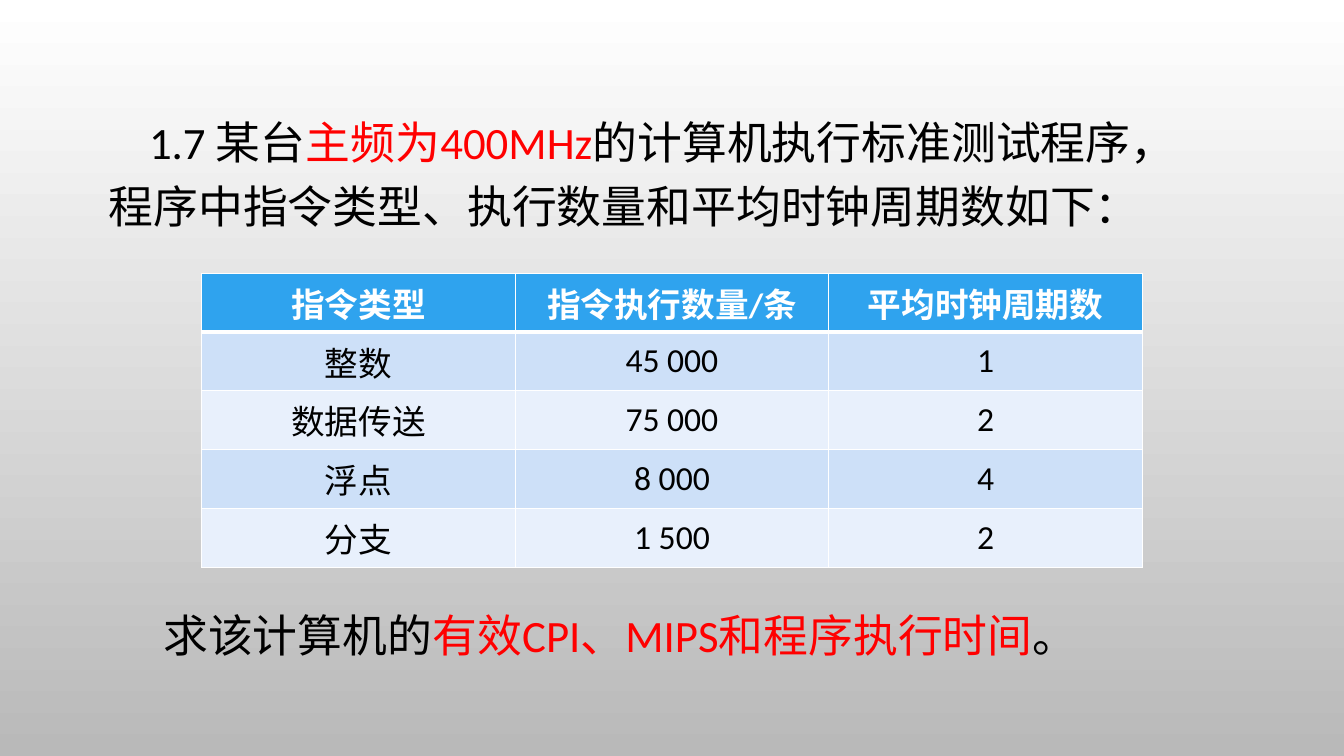
"""Build the exercise 1.7 slide: question text and an instruction table."""
from dataclasses import dataclass

from lxml import etree
from pptx import Presentation
from pptx import util as u
from pptx.dml import color
from pptx.enum import text
from pptx.oxml import ns

COLORS = {
    "black": "000000", "white": "FFFFFF", "red": "FF0000", "gray": "B9B9B9",
    "header": "2FA3EE", "odd": "CDE0F8", "even": "E8F0FC",
}
FONT = "Calibri"
ROWS = [
    ("指令类型", "指令执行数量/条", "平均时钟周期数"),
    ("整数", "45 000", "1"),
    ("数据传送", "75 000", "2"),
    ("浮点", "8 000", "4"),
    ("分支", "1 500", "2"),
]
COLUMN_WIDTH, ROW_HEIGHT = 3.11, 0.5


@dataclass
class Passage:
    left: float
    top: float
    width: float
    height: float
    indent: float
    line_spacing: float
    runs: list[tuple[str, str]]


PASSAGES = [
    Passage(0.98, 0.98, 11.16, 1.41, 0.4, 1.2, [
        ("1.7 某台", "black"),
        ("主频为400MHz", "red"),
        ("的计算机执行标准测试程序，程序中指令类型、执行数量和平均时钟周期数如下：", "black"),
    ]),
    Passage(1.02, 5.98, 11.19, 0.75, 0.5, 1.0, [
        ("求该计算机的", "black"),
        ("有效CPI、MIPS和程序执行时间", "red"),
        ("。", "black"),
    ]),
]


def rgb(name: str) -> color.RGBColor:
    return color.RGBColor.from_string(COLORS[name])


def add_run(paragraph, content: str, color_name: str, **formats) -> None:
    run = paragraph.add_run()
    run.text = content
    for name, value in {"name": FONT, **formats}.items():
        setattr(run.font, name, value)
    run.font.color.rgb = rgb(color_name)


def add_passage(slide, passage: Passage) -> None:
    box = slide.shapes.add_textbox(
        u.Inches(passage.left), u.Inches(passage.top),
        u.Inches(passage.width), u.Inches(passage.height))
    frame = box.text_frame
    frame.word_wrap = True
    frame.auto_size = text.MSO_AUTO_SIZE.SHAPE_TO_FIT_TEXT
    paragraph = frame.paragraphs[0]
    paragraph.line_spacing = passage.line_spacing
    paragraph._p.get_or_add_pPr().set("indent", str(u.Inches(passage.indent)))
    for content, color_name in passage.runs:
        add_run(paragraph, content, color_name, size=u.Pt(32))


def add_borders(cell, widths: dict[str, float]) -> None:
    properties = cell._tc.get_or_add_tcPr()
    for position, (side, width) in enumerate(widths.items()):
        line = etree.Element(ns.qn(f"a:ln{side}"), w=str(u.Pt(width)))
        fill = etree.SubElement(line, ns.qn("a:solidFill"))
        etree.SubElement(fill, ns.qn("a:srgbClr"), val=COLORS["white"])
        properties.insert(position, line)


def add_instruction_table(slide) -> None:
    table = slide.shapes.add_table(
        len(ROWS), len(ROWS[0]), u.Inches(2), u.Inches(2.71),
        u.Inches(COLUMN_WIDTH * len(ROWS[0])), u.Inches(ROW_HEIGHT * len(ROWS))).table
    for column in table.columns:
        column.width = u.Inches(COLUMN_WIDTH)
    for row_index, values in enumerate(ROWS):
        table.rows[row_index].height = u.Inches(ROW_HEIGHT)
        is_header = row_index == 0
        fill_name = "header" if is_header else ("even", "odd")[row_index % 2]
        for column_index, value in enumerate(values):
            cell = table.cell(row_index, column_index)
            cell.vertical_anchor = text.MSO_ANCHOR.MIDDLE
            cell.fill.solid()
            cell.fill.fore_color.rgb = rgb(fill_name)
            add_borders(cell, {"L": 1, "R": 1, "T": 3 if row_index == 1 else 1,
                               "B": 3 if is_header else 1})
            paragraph = cell.text_frame.paragraphs[0]
            paragraph.alignment = text.PP_ALIGN.CENTER
            add_run(paragraph, value, "white" if is_header else "black",
                    size=u.Pt(24), bold=is_header)


def paint_background(slide) -> None:
    fill = slide.background.fill
    fill.gradient()
    fill.gradient_angle = 270
    for stop, position, name in zip(fill.gradient_stops, (0, 1), ("white", "gray")):
        stop.position = position
        stop.color.rgb = rgb(name)


def main() -> None:
    presentation = Presentation()
    presentation.slide_width = u.Inches(13.33)
    presentation.slide_height = u.Inches(7.5)
    slide = presentation.slides.add_slide(presentation.slide_layouts[6])
    paint_background(slide)
    add_instruction_table(slide)
    for passage in PASSAGES:
        add_passage(slide, passage)
    presentation.save("out.pptx")


if __name__ == "__main__":
    main()
